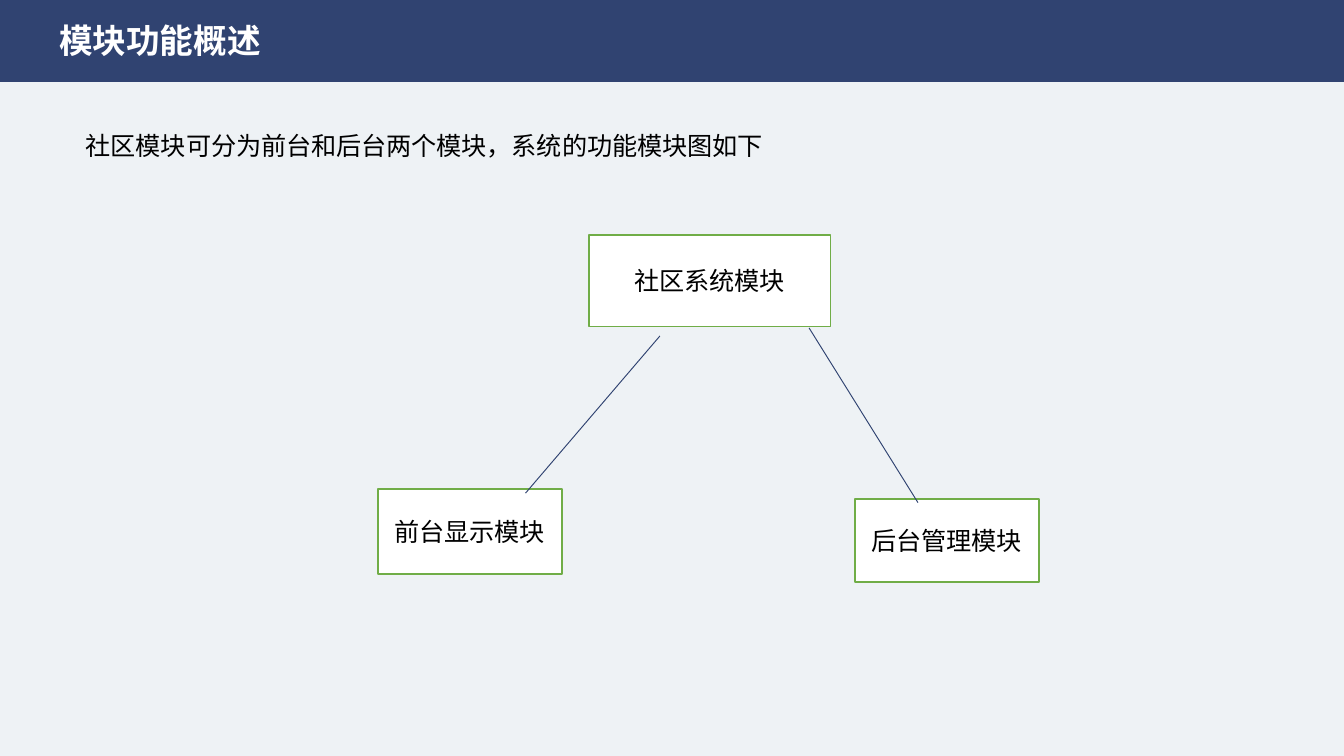
from lxml import etree
from pptx import Presentation, util as u
from pptx.dml.color import RGBColor
from pptx.enum import shapes, text
from pptx.oxml.ns import qn

HUES = {"page": "EEF2F5", "navy": "304371", "white": "FFFFFF",
        "green": "70AD47", "black": "000000"}
RECT = shapes.MSO_SHAPE.RECTANGLE
MID = text.MSO_ANCHOR.MIDDLE
TOP = text.MSO_ANCHOR.TOP
LEFT = text.PP_ALIGN.LEFT
MIDST = text.PP_ALIGN.CENTER


def hue(name):
    """Return the named colour."""
    return RGBColor.from_string(HUES[name])


def inch(*nums):
    """Turn numbers into lengths."""
    return [u.Inches(n) for n in nums]


def write(shape, words, size=13.5, font="Calibri", ink="black",
          bold=False, align=MIDST, anchor=MID, wrap=True):
    """Set and format the text of a shape."""
    frame = shape.text_frame
    frame.text = words
    frame.word_wrap = wrap
    frame.auto_size = text.MSO_AUTO_SIZE.NONE
    frame.vertical_anchor = anchor
    para = frame.paragraphs[0]
    para.alignment = align
    run = para.runs[0]
    run.font.size = u.Pt(size)
    run.font.name = font
    run.font.bold = bold
    run.font.color.rgb = hue(ink)
    east = etree.SubElement(run.font._element, qn("a:ea"))
    east.set("typeface", "Noto Sans CJK SC")


def block(slide, box, fill, line=None):
    """Add a flat rectangle."""
    rect = slide.shapes.add_shape(RECT, *inch(*box))
    rect.shadow.inherit = False
    rect.fill.solid()
    rect.fill.fore_color.rgb = hue(fill)
    if line:
        rect.line.color.rgb = hue(line)
        rect.line.width = u.Pt(1)
    else:
        rect.line.fill.background()
    return rect


def header(slide, box, words):
    """Place the band and the title on it."""
    x, y, w, h = box
    band = block(slide, box, "navy")
    title = slide.shapes.title
    title._element.addprevious(band._element)
    title.left, title.top, title.width, title.height = inch(
        x + 0.34, y + 0.1, 1.7, 0.71)
    write(title, words, 18, "Noto Sans CJK SC", "white", True,
          anchor=TOP, wrap=False)
    title.text_frame.margin_left = title.text_frame.margin_right = 0


def intro(slide, box, words):
    """Place the lead sentence."""
    note = slide.shapes.add_textbox(*inch(*box))
    write(note, words, align=LEFT, anchor=TOP, wrap=False)


def link(slide, start, end):
    """Draw a thin line between two points."""
    line = slide.shapes.add_connector(
        shapes.MSO_CONNECTOR.STRAIGHT, *inch(*start, *end))
    line.line.color.rgb = hue("navy")
    line.line.width = u.Pt(0.5)
    etree.SubElement(line._element.spPr, qn("a:effectLst"))


def tree(slide, box):
    """Draw the module tree inside its box."""
    x, y, w, h = box
    nodes = [("社区系统模块", 1.57, 0, 1.8, 0.68),
             ("前台显示模块", 0, 1.89, 1.37, 0.63),
             ("后台管理模块", w - 1.37, h - 0.62, 1.37, 0.62)]
    for words, dx, dy, wide, high in nodes:
        node = block(slide, (x + dx, y + dy, wide, high), "white", "green")
        write(node, words)
    lines = [(2.1, 0.75, 1.1, 1.92), (3.21, 0.69, 4.02, 1.99)]
    for ax, ay, bx, by in lines:
        link(slide, (x + ax, y + ay), (x + bx, y + by))


def main():
    """Build and save the slide."""
    deck = Presentation()
    deck.slide_width = u.Inches(10)
    deck.slide_height = u.Inches(10 * 9 / 16)
    slide = deck.slides.add_slide(deck.slide_layouts[5])
    slide.background.fill.solid()
    slide.background.fill.fore_color.rgb = hue("page")
    header(slide, (0, 0, 10, 0.61), "模块功能概述")
    intro(slide, (0.54, 0.92, 5.26, 0.33),
          "社区模块可分为前台和后台两个模块，系统的功能模块图如下")
    tree(slide, (2.81, 1.75, 4.92, 2.58))
    deck.save("out.pptx")


main()
